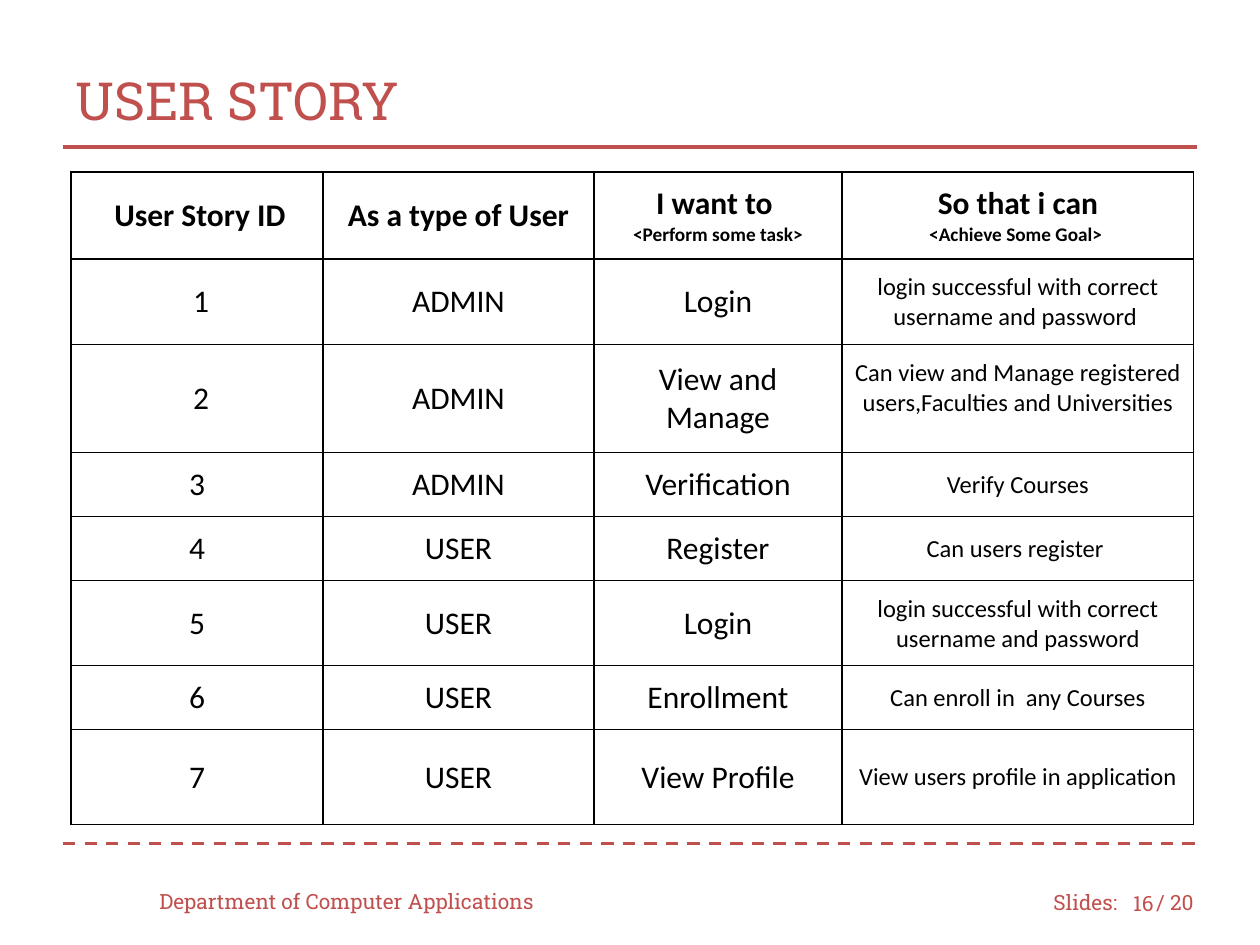
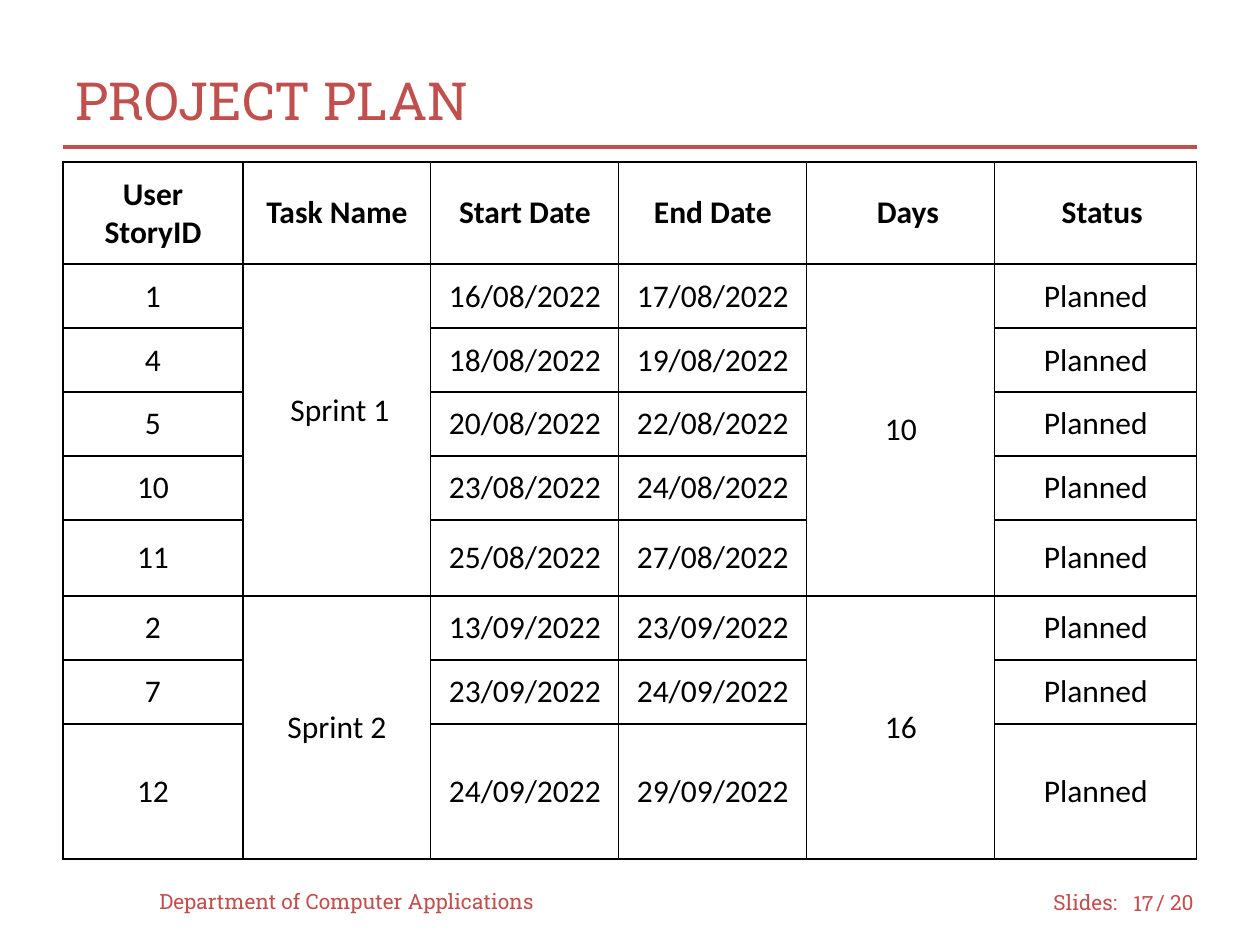
from dataclasses import dataclass

from lxml import etree
from pptx import Presentation
from pptx.dml.color import RGBColor
from pptx.enum.dml import MSO_LINE
from pptx.enum.shapes import MSO_CONNECTOR
from pptx.enum.text import MSO_ANCHOR, PP_ALIGN
from pptx.oxml.ns import qn
from pptx.util import Emu, Pt

STRAIGHT = MSO_CONNECTOR.STRAIGHT
DASH = MSO_LINE.DASH
MIDDLE = MSO_ANCHOR.MIDDLE
LEFT, CENTER, RIGHT = PP_ALIGN.LEFT, PP_ALIGN.CENTER, PP_ALIGN.RIGHT

PX_PER_INCH = 126
CELL_MARGIN = 13
TOTAL_SLIDES = 20


@dataclass(frozen=True)
class Theme:
    accent: str = "C0504D"
    ink: str = "000000"
    paper: str = "FFFFFF"
    display_font: str = "Roboto Slab"
    table_font: str = "Calibri"
    title_size: int = 30
    footer_size: int = 12
    cell_size: int = 18
    detail_size: int = 14
    hint_size: int = 11
    rule_width: float = 1.75
    border_width: float = 0.75


def px(n):
    return Emu(round(n * 914400 / PX_PER_INCH))


class Deck:
    def __init__(self, theme):
        self.theme = theme
        self.prs = Presentation()
        self.prs.slide_width = px(1260)
        self.prs.slide_height = px(945)
        self.s = None

    def run(self, p, text, size, font, color, bold=False):
        r = p.add_run()
        r.text = text
        r.font.size = Pt(size)
        r.font.name = font
        r.font.bold = bold
        r.font.color.rgb = RGBColor.from_string(color)

    def label(self, text, x, y, w, h, size, align=LEFT):
        tf = self.s.shapes.add_textbox(px(x), px(y), px(w), px(h)).text_frame
        tf.word_wrap = True
        tf.vertical_anchor = MIDDLE
        p = tf.paragraphs[0]
        p.alignment = align
        self.run(p, text, size, self.theme.display_font, self.theme.accent)

    def rule(self, y, dash=None):
        line = self.s.shapes.add_connector(STRAIGHT, px(63), px(y), px(1197), px(y))
        line.line.color.rgb = RGBColor.from_string(self.theme.accent)
        line.line.width = Pt(self.theme.rule_width)
        if dash:
            line.line.dash_style = dash
        etree.SubElement(line._element.spPr, qn("a:effectLst"))

    def slide(self, title, number):
        """Start a slide with the shared title, rules and footer."""
        self.s = self.prs.slides.add_slide(self.prs.slide_layouts[6])
        small = self.theme.footer_size
        self.label("Slides:", 1041, 877, 95, 50, small)
        self.label(f"/ {TOTAL_SLIDES}", 1144, 877, 73, 50, small)
        self.rule(844, DASH)
        self.rule(147)
        self.label(title, 63, 42, 1134, 116, self.theme.title_size)
        self.label("Department of Computer Applications", 147, 876, 420, 50, small)
        self.label(str(number), 1113, 878, 53, 50, small, RIGHT)

    def border(self, cell):
        tc_pr = cell._tc.get_or_add_tcPr()
        for i, side in enumerate(("lnL", "lnR", "lnT", "lnB")):
            ln = etree.Element(qn(f"a:{side}"), w=str(Pt(self.theme.border_width)))
            fill = etree.SubElement(ln, qn("a:solidFill"))
            etree.SubElement(fill, qn("a:srgbClr"), val=self.theme.ink)
            tc_pr.insert(i, ln)

    def cell(self, cell, text, size, bold, indent, lift):
        """Fill one cell; indent and lift widen its left and bottom margins."""
        cell.fill.solid()
        cell.fill.fore_color.rgb = RGBColor.from_string(self.theme.paper)
        self.border(cell)
        cell.vertical_anchor = MIDDLE
        cell.margin_top = cell.margin_right = px(CELL_MARGIN)
        cell.margin_left = px(CELL_MARGIN + indent)
        cell.margin_bottom = px(CELL_MARGIN + lift)
        tf = cell.text_frame
        for i, line in enumerate(text.split("\n") if text else ()):
            p = tf.add_paragraph() if i else tf.paragraphs[0]
            p.alignment = CENTER
            line_size = self.theme.hint_size if line.startswith("<") else size
            self.run(p, line, line_size, self.theme.table_font, self.theme.ink, bold)

    def table(self, x, y, widths, heights, rows, detail_col=None, merges=(), nudges=None):
        """Draw a grid; nudges maps (row, column) to (indent, lift)."""
        frame = self.s.shapes.add_table(len(rows), len(widths), px(x), px(y),
                                        px(sum(widths)), px(sum(heights)))
        table = frame.table
        table.first_row = table.horz_banding = False
        for column, width in zip(table.columns, widths):
            column.width = px(width)
        for row, height in zip(table.rows, heights):
            row.height = px(height)
        for r, values in enumerate(rows):
            for c, text in enumerate(values):
                detail = r > 0 and c == detail_col
                size = self.theme.detail_size if detail else self.theme.cell_size
                indent, lift = (nudges or {}).get((r, c), (0, 0))
                self.cell(table.cell(r, c), text, size, r == 0, indent, lift)
        for first, last, c in merges:
            table.cell(first, c).merge(table.cell(last, c))


STORIES = [
    ("User Story ID", "As a type of User", "I want to \n<Perform some task>",
     "So that i can\n<Achieve Some Goal> "),
    ("1", "ADMIN", "Login", "login successful with correct username and password "),
    ("2", "ADMIN", "View and Manage",
     "Can view and Manage registered users,Faculties and Universities"),
    ("3", "ADMIN", "Verification", "Verify Courses"),
    ("4", "USER", "Register", "Can users register "),
    ("5", "USER", "Login", "login successful with correct username and password"),
    ("6", "USER", "Enrollment", "Can enroll in  any Courses"),
    ("7", "USER", "View Profile", "View users profile in application"),
]

PLAN_HEADER = ("User\nStoryID", "Task Name", "Start Date", "End Date", "Days", "Status")
SPRINTS = [
    ("Sprint 1", "10", [
        ("1", "16/08/2022", "17/08/2022"),
        ("4", "18/08/2022", "19/08/2022"),
        ("5", "20/08/2022", "22/08/2022"),
        ("10", "23/08/2022", "24/08/2022"),
        ("11", "25/08/2022", "27/08/2022"),
    ]),
    ("Sprint 2", "16", [
        ("2", "13/09/2022", "23/09/2022"),
        ("7", "23/09/2022", "24/09/2022"),
        ("12", "24/09/2022", "29/09/2022"),
    ]),
]


def plan_rows():
    """Return the plan's rows and the column merges for each sprint."""
    rows, merges = [PLAN_HEADER], []
    for name, days, tasks in SPRINTS:
        first = len(rows)
        for i, (story, start, end) in enumerate(tasks):
            shared = ("", "") if i else (name, days)
            rows.append((story, shared[0], start, end, shared[1], "Planned"))
        merges += [(first, len(rows) - 1, c) for c in (1, 4)]
    return rows, merges


def main():
    deck = Deck(Theme())

    deck.slide("USER STORY", 16)
    deck.table(71, 172, [252, 271, 248, 352], [87, 86, 108, 64, 64, 85, 64, 95],
               STORIES, detail_col=3,
               nudges={(0, 0): (6, 0), (1, 0): (8, 0), (2, 0): (8, 0), (2, 3): (0, 22)})

    deck.slide("PROJECT PLAN", 17)
    rows, merges = plan_rows()
    deck.table(63, 162, [180, 188, 188, 188, 188, 202],
               [102, 64, 64, 64, 64, 76, 64, 64, 135], rows, merges=merges,
               nudges={(0, 4): (14, 0), (0, 5): (13, 0), (1, 1): (6, 38)})

    deck.prs.save("out.pptx")


if __name__ == "__main__":
    main()
